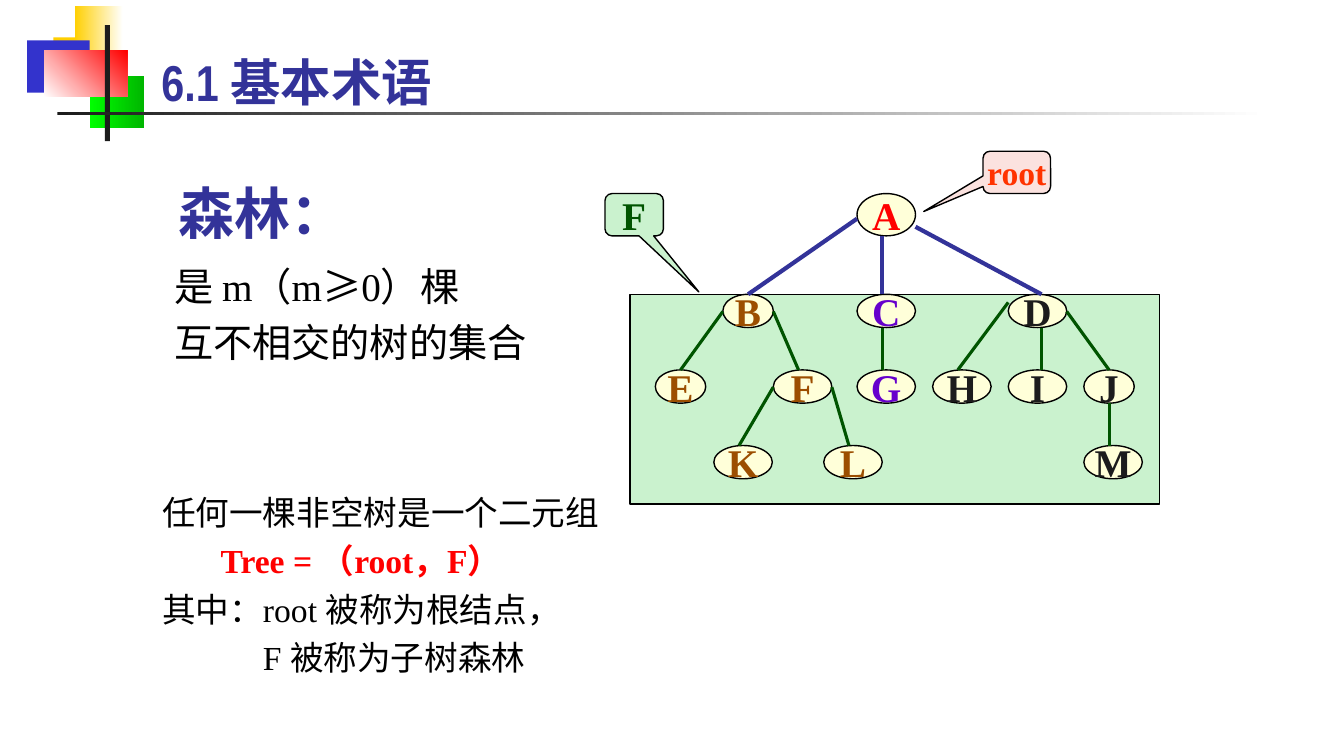
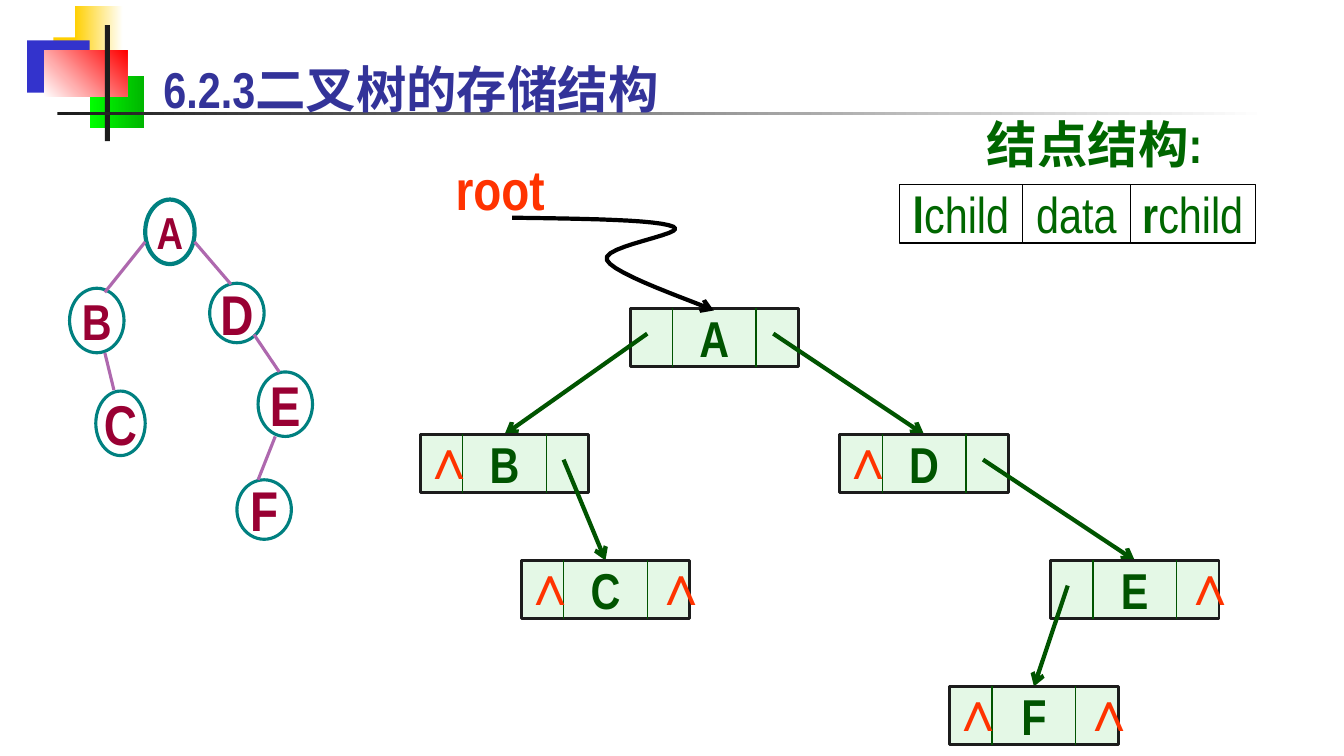
from lxml.etree import SubElement
from pptx import Presentation
from pptx.dml.color import RGBColor
from pptx.enum.shapes import MSO_CONNECTOR, MSO_SHAPE as SHAPE
from pptx.enum.text import MSO_ANCHOR as ANCHOR, MSO_AUTO_SIZE as FIT, PP_ALIGN as ALIGN
from pptx.oxml.ns import qn
from pptx.util import Inches, Pt

COLORS = {
    "black": "000000", "ink": "1C1C1C", "white": "FFFFFF", "red": "FF0000",
    "orange": "FF3300", "navy": "333399", "blue": "3333CC", "yellow": "FFCF01",
    "lime": "00FF00", "green": "00B600", "forest": "005400", "leaf": "006600",
    "mint": "CAF2CE", "cream": "FFFFD9", "rose": "FBE2DF", "brown": "9C4E00",
    "violet": "6600CC", "teal": "008080", "wine": "990033", "mauve": "AE68AE",
}
SERIF, NARROW, CJK = "Times New Roman", "Arial Narrow", "Noto Sans CJK SC"


def rgb(name):
    return RGBColor.from_string(COLORS[name])


def set_font(font, size, color, name=SERIF, bold=True):
    font.size, font.name, font.bold = Pt(size), name, bold
    font.color.rgb = rgb(color)


def set_line(shape, color, width):
    shape.line.color.rgb = rgb(color)
    shape.line.width = Pt(width)


def add_arrowhead(shape):
    SubElement(shape.element.spPr.find(qn("a:ln")), qn("a:tailEnd"), type="arrow")


def add_box(page, kind, box, fill=None, line=None, width=1):
    shape = page.shapes.add_shape(kind, *map(Inches, box))
    shape.shadow.inherit = False
    if fill:
        shape.fill.solid()
        shape.fill.fore_color.rgb = rgb(fill)
    else:
        shape.fill.background()
    if line:
        set_line(shape, line, width)
    else:
        shape.line.fill.background()
    return shape


def add_label(shape, text, size, color, name=SERIF):
    """Centre one bold line of text on a shape."""
    frame = shape.text_frame
    frame.word_wrap = False
    frame.vertical_anchor = ANCHOR.MIDDLE
    para = frame.paragraphs[0]
    para.text = text
    para.alignment = ALIGN.CENTER
    set_font(para.font, size, color, name)


def add_line(page, start, end, color, width, arrow=False):
    line = page.shapes.add_connector(MSO_CONNECTOR.STRAIGHT, *map(Inches, (*start, *end)))
    set_line(line, color, width)
    if arrow:
        add_arrowhead(line)
    SubElement(line.element.spPr, qn("a:effectLst"))


def add_text(page, box, lines, size, color, name=SERIF, bold=False, spacing=None):
    """Add a text box with one paragraph per line and return its paragraphs."""
    frame = page.shapes.add_textbox(*map(Inches, box)).text_frame
    frame.word_wrap = False
    frame.auto_size = FIT.SHAPE_TO_FIT_TEXT
    for number, text in enumerate(lines):
        para = frame.add_paragraph() if number else frame.paragraphs[0]
        para.text = text
        para.line_spacing = spacing
        set_font(para.font, size, color, name, bold)
    return frame.paragraphs


def indent(para, inches):
    para._p.get_or_add_pPr().set("marL", str(Inches(inches)))


def decorate_layout(layout, page):
    """Draw the corner blocks and the rules on the page, then move them to its layout."""
    blocks = [
        ((0.53, 0.37, 0.64, 0.52), "yellow", None, 0),
        ((0.74, 0.06, 0.48, 0.52), "yellow", "white", 0),
        ((0.27, 0.4, 0.62, 0.52), "blue", None, 0),
        ((0.89, 0.75, 0.54, 0.52), "lime", "green", 0),
        ((0.44, 0.5, 0.82, 0.46), "white", "red", 45),
        ((1.04, 0.25, 0.05, 1.15), "ink", None, 0),
        ((0.57, 1.11, 12, 0.03), "ink", "white", 0),
    ]
    for box, first, last, angle in blocks:
        block = add_box(page, SHAPE.RECTANGLE, box, first)
        if last:
            block.fill.gradient()
            block.fill.gradient_angle = angle
            for stop, color, position in zip(block.fill.gradient_stops, (first, last), (0, 1)):
                stop.color.rgb = rgb(color)
                stop.position = position
        layout.shapes.element.append(block.element)


def set_title(page, text, box):
    title = page.shapes.title
    title.left, title.top, title.width, title.height = map(Inches, box)
    frame = title.text_frame
    frame.auto_size = FIT.NONE
    frame.vertical_anchor = ANCHOR.TOP
    para = frame.paragraphs[0]
    para.text = text
    para.alignment = ALIGN.LEFT
    set_font(para.font, 36, "navy", NARROW)


def add_definitions(page, left, top):
    add_text(page, (left + 0.16, top, 1.88, 0.84), ["森林："], 40, "navy", bold=True, spacing=1.2)

    meaning = add_text(page, (left + 0.12, top + 0.87, 4.1, 1.18),
                       ["", "互不相交的树的集合"], 28, "black", spacing=1.2)
    for text, name in (("是 m（m", SERIF), ("≥", CJK), ("0）棵", SERIF)):
        span = meaning[0].add_run()
        span.text = text
        span.font.name = name

    tree = add_text(page, (left, top + 3.16, 4.58, 2),
                    ["任何一棵非空树是一个二元组", "Tree = （root，F）",
                     "其中：root 被称为根结点，", "F 被称为子树森林"], 24, "black", spacing=1.2)
    set_font(tree[1].font, 24, "red")
    indent(tree[1], 0.58)
    indent(tree[3], 1)


def add_forest(page, left, top):
    """Draw a tree whose subtrees stand in a frame as a forest."""
    def add_callout(box, text, size, color, fill, tip):
        x, y, width, height = box
        callout = add_box(page, SHAPE.ROUNDED_RECTANGULAR_CALLOUT,
                          (left + x, top + y, width, height), fill, "black")
        for index, value in enumerate((*tip, 0.167)):
            callout.adjustments[index] = value
        add_label(callout, text, size, color)

    rows = (0.42, 1.42, 2.17, 2.92)
    nodes = {  # letter: x, row, width, colour, offset of the line from above
        "A": (2.5, 0, 0.58, "red", 0.25),
        "B": (1.17, 1, 0.5, "brown", 0.25),
        "E": (0.5, 2, 0.5, "brown", 0.25),
        "F": (1.67, 2, 0.58, "brown", 0.25),
        "K": (1.08, 3, 0.58, "brown", 0.25),
        "L": (2.17, 3, 0.58, "brown", 0.25),
        "C": (2.5, 1, 0.58, "violet", 0.25),
        "G": (2.5, 2, 0.58, "violet", 0.25),
        "D": (4, 1, 0.58, "ink", 0.33),
        "H": (3.25, 2, 0.58, "ink", 0.25),
        "I": (4, 2, 0.58, "ink", 0.33),
        "J": (4.75, 2, 0.5, "ink", 0.25),
        "M": (4.75, 3, 0.58, "ink", 0.25),
    }
    edges = [  # parent, child, side of the parent, drop below its top
        ("B", "E", "left", 0.17), ("B", "F", "right", 0.17),
        ("F", "K", "left", 0.17), ("F", "L", "right", 0.17),
        ("C", "G", "below", 0.33),
        ("D", "H", "left", 0.08), ("D", "I", "below", 0.33), ("D", "J", "right", 0.17),
        ("J", "M", "below", 0.33),
        ("A", "B", "left", 0.25), ("A", "C", "below", 0.42), ("A", "D", "right", 0.33),
    ]
    add_callout((3.75, 0, 0.67, 0.42), "root", 24, "orange", "rose", (-1.378, 0.925))
    add_box(page, SHAPE.RECTANGLE, (left + 0.25, top + rows[1], 5.25, 2.08), "mint", "black")
    for letter, (x, row, width, color, _) in nodes.items():
        height = 0.33 if row else 0.42
        node = add_box(page, SHAPE.OVAL, (left + x, top + rows[row], width, height),
                       "cream", "black")
        add_label(node, letter, 28, color)
    for parent, child, side, drop in edges:
        x, row, width = nodes[parent][:3]
        end_x = left + nodes[child][0] + nodes[child][4]
        start_x = {"left": left + x, "right": left + x + width, "below": end_x}[side]
        color, weight = ("forest", 2.25) if row else ("navy", 3)
        add_line(page, (start_x, top + rows[row] + drop),
                 (end_x, top + rows[nodes[child][1]]), color, weight)
    add_callout((0, 0.42, 0.58, 0.42), "F", 28, "forest", "mint", (1.107, 1.825))


def add_binary_tree(page, left, top):
    nodes = [
        ("A", 0.75, 0, 0.49, 0.64, 32), ("B", 0, 0.88, 0.54, 0.64, 36),
        ("C", 0.26, 1.9, 0.49, 0.64, 40), ("D", 1.39, 0.83, 0.54, 0.59, 40),
        ("E", 1.87, 1.71, 0.54, 0.64, 40), ("F", 1.66, 2.78, 0.54, 0.59, 40),
    ]
    edges = [
        (0.75, 0.42, 0.35, 0.92), (0.35, 1.52, 0.44, 1.89), (1.24, 0.42, 1.6, 0.84),
        (1.83, 1.34, 2.08, 1.71), (2.04, 2.35, 1.87, 2.78),
    ]
    for letter, x, y, width, height, size in nodes:
        node = add_box(page, SHAPE.OVAL, (left + x, top + y, width, height),
                       "white", "teal", 3 if letter == "A" else 2.25)
        add_label(node, letter, size, "wine", NARROW)
    for x1, y1, x2, y2 in edges:
        add_line(page, (left + x1, top + y1), (left + x2, top + y2), "mauve", 2.25)


def add_linked_list(page, left, top):
    """Draw the linked records of a binary tree, with ∧ for each empty pointer."""
    step, width, height = 1.25, 1.67, 0.58
    records = {  # letter: x, row, left child, right child
        "A": (2.08, 0, "B", "D"), "D": (4.16, 1, None, "E"), "E": (6.25, 2, "F", None),
        "B": (0, 1, None, "C"), "C": (1, 2, None, None), "F": (5.25, 3, None, None),
    }
    for letter, (x, row, *children) in records.items():
        x, y = left + x, top + row * step
        record = add_box(page, SHAPE.RECTANGLE, (x, y, width, height), "mint", "ink", 2)
        color = record.element.spPr.find(qn("a:solidFill")).find(qn("a:srgbClr"))
        SubElement(color, qn("a:alpha"), val="50000")
        add_label(record, letter, 36, "forest", NARROW)
        for divider in (0.42, 1.25):
            add_line(page, (x + divider, y), (x + divider, y + height), "forest", 1)
        for child, null_x, pointer_x in zip(children, (-0.09, 1.21), (0.17, 1.42)):
            if child:
                child_x, child_row = records[child][:2]
                add_line(page, (x + pointer_x, y + 0.25),
                         (left + child_x + width / 2, top + child_row * step),
                         "forest", 3, arrow=True)
            else:
                add_text(page, (x + null_x, y - 0.16, 0.54, 0.77), ["∧"], 40,
                         "orange", NARROW, bold=True)


def bezier(points, share):
    """Point of a cubic curve at a share of its course."""
    rest = 1 - share
    weights = (rest ** 3, 3 * rest ** 2 * share, 3 * rest * share ** 2, share ** 3)
    return tuple(sum(weight * point[axis] for weight, point in zip(weights, points))
                 for axis in (0, 1))


def add_root_pointer(page, left, top):
    add_text(page, (left, top, 1.19, 0.77), ["root"], 40, "orange", NARROW, bold=True)
    knots = [(0.66, 0.68), (1.39, 0.69), (2.11, 0.7), (2.26, 0.77), (2.42, 0.84),
             (1.53, 0.96), (1.6, 1.1), (1.66, 1.24), (2.49, 1.52), (2.66, 1.6)]
    steps = 12
    curve = [bezier(knots[first:first + 4], step / steps)
             for first in (0, 3, 6) for step in range(1, steps + 1)]
    start, *rest = [(Inches(left + x), Inches(top + y)) for x, y in [knots[0], *curve]]
    builder = page.shapes.build_freeform(*start)
    builder.add_line_segments(rest, close=False)
    pointer = builder.convert_to_shape()
    pointer.shadow.inherit = False
    pointer.fill.background()
    set_line(pointer, "black", 3)
    add_arrowhead(pointer)


def add_record_legend(page, left, top):
    add_text(page, (left + 0.77, top, 2.38, 0.7), ["结点结构:"], 36, "leaf", NARROW, bold=True)
    for initial, rest, width in (("l", "child", 1.22), ("", "data", 1.07), ("r", "child", 1.24)):
        field = add_box(page, SHAPE.RECTANGLE, (left, top + 0.76, width, 0.58), None, "black")
        add_label(field, "", 36, "leaf", NARROW)
        for text, bold in ((initial, True), (rest, False)):
            if text:
                span = field.text_frame.paragraphs[0].add_run()
                span.text = text
                span.font.bold = bold
        left += width


def build_terms_page(page):
    set_title(page, "6.1 基本术语", (1.5, 0.46, 5.38, 0.83))
    add_definitions(page, 1.51, 1.59)
    add_forest(page, 6, 1.5)


def build_storage_page(page):
    set_title(page, "6.2.3二叉树的存储结构", (1.52, 0.53, 8.5, 0.72))
    add_binary_tree(page, 0.69, 1.98)
    add_linked_list(page, 4.17, 3.06)
    add_root_pointer(page, 4.42, 1.48)
    add_record_legend(page, 8.92, 1.07)


def main():
    deck = Presentation()
    deck.slide_width, deck.slide_height = Inches(13.33), Inches(7.5)
    layout = deck.slide_layouts[5]
    pages = [deck.slides.add_slide(layout) for _ in range(2)]
    decorate_layout(layout, pages[0])
    for build, page in zip((build_terms_page, build_storage_page), pages):
        build(page)
    deck.save("out.pptx")


if __name__ == "__main__":
    main()
